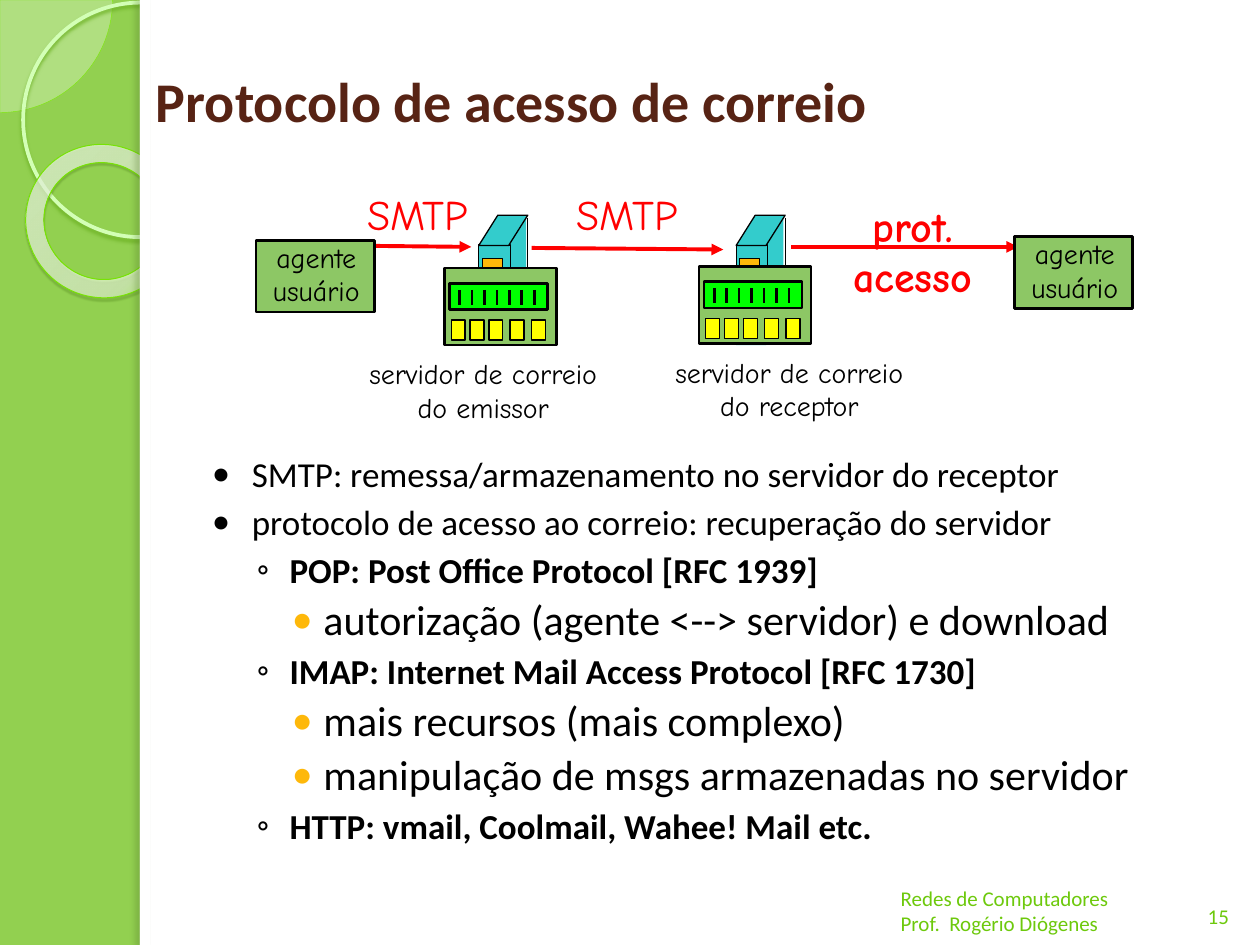
from dataclasses import dataclass
from typing import Optional

from lxml import etree
from pptx import Presentation
from pptx.dml.color import RGBColor
from pptx.enum.shapes import MSO_CONNECTOR, MSO_SHAPE
from pptx.enum.text import MSO_ANCHOR, PP_ALIGN
from pptx.oxml.ns import qn
from pptx.util import Pt

RECT, OVAL = MSO_SHAPE.RECTANGLE, MSO_SHAPE.OVAL
PIE, DONUT, SLANT = MSO_SHAPE.PIE, MSO_SHAPE.DONUT, MSO_SHAPE.PARALLELOGRAM
STRAIGHT = MSO_CONNECTOR.STRAIGHT
LEFT, CENTER = PP_ALIGN.LEFT, PP_ALIGN.CENTER
TOP, MIDDLE, BOTTOM = MSO_ANCHOR.TOP, MSO_ANCHOR.MIDDLE, MSO_ANCHOR.BOTTOM

BLACK, WHITE = RGBColor(0, 0, 0), RGBColor(255, 255, 255)
RED, YELLOW = RGBColor(255, 0, 0), RGBColor(255, 255, 0)
BRIGHT_GREEN = RGBColor(0, 255, 0)
BOX_GREEN = RGBColor(0x8D, 0xC7, 0x65)
TEAL = RGBColor(0x33, 0xCC, 0xCC)
AMBER = RGBColor(0xFE, 0xB8, 0x0A)
BROWN = RGBColor(0x57, 0x23, 0x14)
FOOTER_GREEN = RGBColor(0x6D, 0xC9, 0x0C)
BACKGROUND = RGBColor(0x92, 0xD0, 0x50)
PIE_FILL, PIE_LINE = RGBColor(0xEE, 0xFF, 0xE4), RGBColor(0x7F, 0xE9, 0x0E)
RING_LINE, DONUT_LINE = RGBColor(0xD3, 0xFF, 0xB6), RGBColor(0x77, 0xE4, 0x03)
RING_SHADOW, DONUT_SHADOW = RGBColor(0x6D, 0xB2, 0x24), RGBColor(0x36, 0x64, 0x06)
EDGE_SHADOW = RGBColor(0x49, 0x6A, 0x25)
DONUT_STOPS = (
    (0, RGBColor(0xF4, 0xFF, 0xEE), 70),
    (70, RGBColor(0xFA, 0xFF, 0xF6), 55),
    (100, RGBColor(0x83, 0xFE, 0x00), 60),
)
DONUT_FOCUS = {"l": -408, "t": -50, "r": 508, "b": 150}
SANS, COMIC = "Calibri", "Comic Neue"


@dataclass(frozen=True)
class Style:
    size: float
    color: RGBColor = BLACK
    font: str = COMIC
    bold: bool = False
    align: int = CENTER
    anchor: int = TOP
    wrap: bool = False


@dataclass(frozen=True)
class Level:
    bullet: str
    bullet_color: RGBColor
    bullet_size: int
    margin: float
    indent: float
    before: float
    size: float
    bold: bool


MAIN = Level("●", BLACK, 80, 28.8, -22.3, 6, 20, False)
SUB = Level("◦", BLACK, 100, 50.4, -18.7, 5.5, 20, True)
DETAIL = Level("•", AMBER, 100, 69.8, -18, 4.8, 24, False)
BODY = (
    (MAIN, "SMTP: remessa/armazenamento no servidor do receptor"),
    (MAIN, "protocolo de acesso ao correio: recuperação do servidor"),
    (SUB, "POP: Post Office Protocol [RFC 1939]"),
    (DETAIL, "autorização (agente <--> servidor) e download"),
    (SUB, "IMAP: Internet Mail Access Protocol [RFC 1730]"),
    (DETAIL, "mais recursos (mais complexo)"),
    (DETAIL, "manipulação de msgs armazenadas no servidor"),
    (SUB, "HTTP: vmail, Coolmail, Wahee! Mail etc."),
)
TITLE = Style(32, BROWN, SANS, True, LEFT, MIDDLE, True)
FOOTER = Style(12, FOOTER_GREEN, SANS, False, LEFT, BOTTOM, True)
NUMBER = Style(12, FOOTER_GREEN, SANS, False, CENTER, BOTTOM, True)
CAPTION, PROTOCOL = Style(16), Style(24, RED)
ACCESS = Style(24, RED, bold=True)


def add_color(parent, color: RGBColor, alpha: int) -> None:
    node = etree.SubElement(parent, qn("a:srgbClr"), val=str(color))
    etree.SubElement(node, qn("a:alpha"), val=str(alpha * 1000))


def draw_shape(page, kind, left: float, top: float, width: float, height: float,
               fill: Optional[RGBColor] = None, line: Optional[RGBColor] = None,
               weight: float = 0.75):
    shape = page.shapes.add_shape(kind, Pt(left), Pt(top), Pt(width), Pt(height))
    shape.shadow.inherit = False
    if fill is None:
        shape.fill.background()
    else:
        shape.fill.solid()
        shape.fill.fore_color.rgb = fill
    if line is None:
        shape.line.fill.background()
    else:
        shape.line.color.rgb = line
        shape.line.width = Pt(weight)
    return shape


def cast_shadow(shape, color: RGBColor, alpha: int, blur: float, distance: float, angle: int) -> None:
    effects = shape.element.spPr.find(qn("a:effectLst"))
    shadow = etree.SubElement(effects, qn("a:outerShdw"), blurRad=str(Pt(blur)),
                              dist=str(Pt(distance)), dir=str(angle * 60000))
    add_color(shadow, color, alpha)


def fill_donut(shape) -> None:
    properties = shape.element.spPr
    gradient = etree.Element(qn("a:gradFill"))
    stops = etree.SubElement(gradient, qn("a:gsLst"))
    for position, color, alpha in DONUT_STOPS:
        add_color(etree.SubElement(stops, qn("a:gs"), pos=str(position * 1000)), color, alpha)
    circle = etree.SubElement(gradient, qn("a:path"), path="circle")
    focus = {side: str(value * 1000) for side, value in DONUT_FOCUS.items()}
    etree.SubElement(circle, qn("a:fillToRect"), focus)
    properties.replace(properties.find(qn("a:noFill")), gradient)


def draw_line(page, x1: float, y1: float, x2: float, y2: float,
              color: RGBColor = BLACK, weight: float = 0.75, arrow: bool = False) -> None:
    line = page.shapes.add_connector(STRAIGHT, Pt(x1), Pt(y1), Pt(x2), Pt(y2))
    line.line.color.rgb = color
    line.line.width = Pt(weight)
    properties = line.element.spPr
    if arrow:
        etree.SubElement(properties.find(qn("a:ln")), qn("a:tailEnd"), type="triangle")
    etree.SubElement(properties, qn("a:effectLst"))


def draw_text(page, left: float, top: float, width: float, height: float,
              lines: tuple[str, ...], style: Style) -> None:
    box = page.shapes.add_textbox(Pt(left), Pt(top), Pt(width), Pt(height))
    frame = box.text_frame
    frame.word_wrap = style.wrap
    frame.vertical_anchor = style.anchor
    for index, line in enumerate(lines):
        para = frame.add_paragraph() if index else frame.paragraphs[0]
        para.text = line
        para.alignment = style.align
        para.font.size = Pt(style.size)
        para.font.name = style.font
        para.font.bold = style.bold
        para.font.color.rgb = style.color


def draw_body(page) -> None:
    frame = page.shapes.add_textbox(Pt(108), Pt(257.8), Pt(581), Pt(241.2)).text_frame
    frame.word_wrap = True
    for index, (level, text) in enumerate(BODY):
        para = frame.add_paragraph() if index else frame.paragraphs[0]
        para.text = text
        para.line_spacing = 0.9
        para.space_before = Pt(level.before if index else 0)
        properties = para._p.get_or_add_pPr()
        properties.set("marL", str(Pt(level.margin)))
        properties.set("indent", str(Pt(level.indent)))
        add_color(etree.SubElement(properties, qn("a:buClr")), level.bullet_color, 100)
        etree.SubElement(properties, qn("a:buSzPct"), val=str(level.bullet_size * 1000))
        etree.SubElement(properties, qn("a:buFont"), typeface=SANS)
        etree.SubElement(properties, qn("a:buChar"), char=level.bullet)
        para.font.size = Pt(level.size)
        para.font.name = SANS
        para.font.bold = level.bold
        para.font.color.rgb = BLACK


def draw_decoration(page) -> None:
    pie = draw_shape(page, PIE, -64.3, -64.3, 128.6, 128.6, PIE_FILL, PIE_LINE, 0.25)
    pie.adjustments[0], pie.adjustments[1] = 0, 54.02
    tint = pie.element.spPr.find(qn("a:solidFill")).find(qn("a:srgbClr"))
    etree.SubElement(tint, qn("a:alpha"), val="33000")
    ring = draw_shape(page, OVAL, 13.2, 1.5, 134, 134, None, RING_LINE, 2.15)
    cast_shadow(ring, RING_SHADOW, 85, 2, 2, 90)
    donut = draw_shape(page, DONUT, 14.4, 82.8, 88.6, 87.1, None, DONUT_LINE, 0.58)
    donut.adjustments[0] = 0.12
    donut.rotation = 38.6
    fill_donut(donut)
    cast_shadow(donut, DONUT_SHADOW, 35, 1, 1.2, 75)
    draw_shape(page, RECT, 80, 0, 640, 540, WHITE)
    edge = draw_shape(page, RECT, 80, 0, 5.8, 540, WHITE)
    cast_shadow(edge, EDGE_SHADOW, 25, 3, 3, 180)


def draw_tower(page, left: float) -> None:
    right = left + 28
    base = draw_shape(page, SLANT, left, 180, 28, 17.3, TEAL)
    draw_shape(page, RECT, left + 14, 124, 13, 56, TEAL)
    draw_shape(page, RECT, left, 140, 18, 56, TEAL, BLACK)
    roof = draw_shape(page, SLANT, left, 123, 28, 17.3, TEAL, BLACK)
    base.adjustments[0] = roof.adjustments[0] = 0.63
    draw_line(page, right, 124.5, right, 180)
    draw_line(page, right, 180, left + 18, 196.5)
    draw_shape(page, RECT, left + 2, 147.6, 11.5, 32.4, AMBER, BLACK)


def draw_server(page, left: float, top: float) -> None:
    draw_shape(page, RECT, left, top, 64, 44, BOX_GREEN, BLACK, 1.5)
    draw_shape(page, RECT, left + 2.9, top + 8.8, 56, 15, BRIGHT_GREEN, BLACK, 1.5)
    for slot in range(7):
        x = left + 8.7 + 7.1 * slot
        draw_line(page, x, top + 12.4, x, top + 21, BLACK, 1.5)
    for offset in (3.8, 14.6, 25.4, 37.5, 49.7):
        draw_shape(page, RECT, left + offset, top + 29.7, 7.9, 11.5, YELLOW, BLACK)


def draw_agent(page, left: float, top: float) -> None:
    draw_shape(page, RECT, left, top, 67.7, 41, BOX_GREEN, BLACK, 1.5)
    draw_text(page, left + 0.7, top - 3.6, 67.7, 46, ("agente\vusuário",), CAPTION)


def draw_smtp(page, left: float) -> None:
    draw_shape(page, RECT, left + 6.5, 109.4, 67.7, 23.8, WHITE)
    draw_text(page, left, 104.4, 81.4, 36, ("SMTP",), PROTOCOL)


def main() -> None:
    deck = Presentation()
    deck.slide_width, deck.slide_height = Pt(720), Pt(540)
    page = deck.slides.add_slide(deck.slide_layouts[6])
    page.background.fill.solid()
    page.background.fill.fore_color.rgb = BACKGROUND
    draw_decoration(page)
    draw_text(page, 82, 12.2, 626.4, 90, ("Protocolo de acesso de correio",), TITLE)
    draw_text(page, 678.2, 496.8, 36, 37.4, ("15",), NUMBER)
    draw_text(page, 507.6, 501.1, 198.7, 37.4,
              ("Redes de Computadores", "Prof.  Rogério Diógenes"), FOOTER)
    draw_line(page, 203, 140.4, 269.3, 141.1, RED, 2.25, True)
    draw_tower(page, 273.6)
    draw_text(page, 197.3, 200.2, 157.7, 46, ("servidor de correio\vdo emissor",), CAPTION)
    draw_server(page, 254, 153.2)
    draw_agent(page, 146.2, 137.4)
    draw_smtp(page, 198)
    draw_tower(page, 420.7)
    draw_line(page, 303.8, 141.7, 413.3, 142.6, RED, 2.25, True)
    draw_smtp(page, 317.8)
    draw_line(page, 452.2, 141.1, 581.8, 141.1, RED, 2.25, True)
    draw_text(page, 476.6, 110.9, 90, 65.5, ("prot.\vacesso",), ACCESS)
    draw_text(page, 372.2, 199.4, 157.7, 46, ("servidor de correio\vdo receptor",), CAPTION)
    draw_server(page, 399.5, 152.2)
    draw_agent(page, 579.6, 135.2)
    draw_body(page)
    deck.save("out.pptx")


if __name__ == "__main__":
    main()
